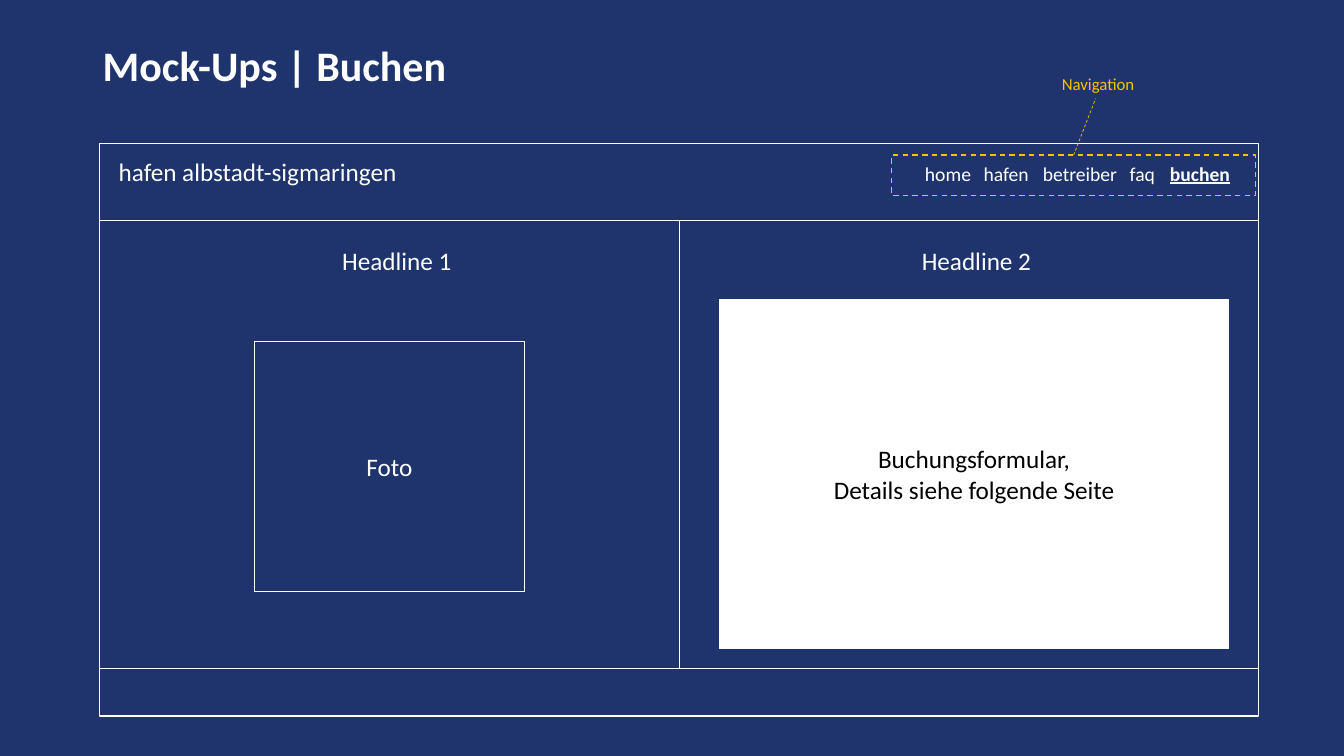
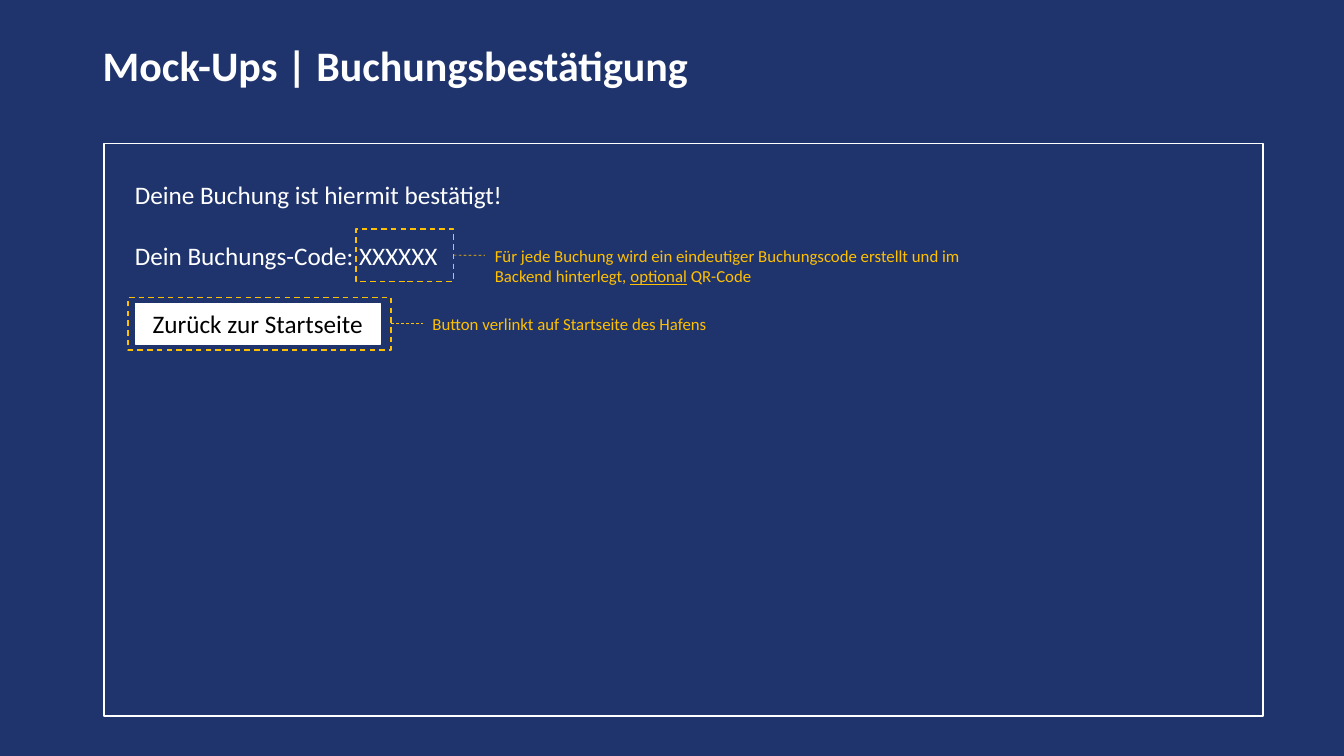
from dataclasses import dataclass
from typing import NamedTuple

from lxml import etree
from pptx import Presentation
from pptx.dml.color import RGBColor
from pptx.enum import dml, shapes, text
from pptx.oxml import ns
from pptx.util import Cm, Pt


@dataclass(frozen=True)
class Theme:
    font: str = "Calibri"
    navy: RGBColor = RGBColor(0x1F, 0x34, 0x6D)
    white: RGBColor = RGBColor(0xFF, 0xFF, 0xFF)
    black: RGBColor = RGBColor(0x00, 0x00, 0x00)
    amber: RGBColor = RGBColor(0xFF, 0xC0, 0x00)
    title: int = 30
    body: int = 18
    menu: int = 14
    note: int = 12


class Box(NamedTuple):
    """An area of the page in centimetres."""
    left: float
    top: float
    width: float
    height: float

    def inner(self, left, top, width, height):
        return Box(self.left + left, self.top + top, width, height)

    def lengths(self):
        return [Cm(value) for value in self]


THEME = Theme()
TITLE = Box(2.34, 1.02, 29.21, 3.68)
BOOKING_FRAME = Box(2.51, 3.61, 29.21, 14.43)
CONFIRMATION_FRAME = Box(2.62, 3.61, 29.21, 14.43)
CENTER = text.PP_ALIGN.CENTER


def write(frame, paragraphs, size=THEME.body, color=THEME.white, align=None, **spacing):
    """Fill a text frame; each paragraph is a list of (text, font values) spans."""
    frame.word_wrap = True
    for index, spans in enumerate(paragraphs):
        para = frame.paragraphs[0] if index == 0 else frame.add_paragraph()
        para.alignment = align
        for name, value in spacing.items():
            if index or name != "space_before":
                setattr(para, name, value)
        for content, extra in spans:
            span = para.add_run()
            span.text = content
            values = {"name": THEME.font, "size": Pt(size), **extra}
            for name, value in values.items():
                setattr(span.font, name, value)
            span.font.color.rgb = color


def add_text(page, box, paragraphs, **style):
    label = page.shapes.add_textbox(*box.lengths())
    write(label.text_frame, paragraphs, **style)
    return label


def add_rect(page, box, fill=None, line=THEME.white, weight=0.75, dashed=False):
    rect = page.shapes.add_shape(shapes.MSO_SHAPE.RECTANGLE, *box.lengths())
    rect.shadow.inherit = False
    if fill is None:
        rect.fill.background()
    else:
        rect.fill.solid()
        rect.fill.fore_color.rgb = fill
    style_line(rect.line, line, weight, dashed)
    return rect


def add_panel(page, box, lines, fill=None, color=THEME.white):
    """A rectangle with centred text."""
    panel = add_rect(page, box, fill)
    panel.text_frame.vertical_anchor = text.MSO_ANCHOR.MIDDLE
    write(panel.text_frame, [[(line, {})] for line in lines], color=color, align=CENTER)


def style_line(line, color, weight, dashed):
    line.color.rgb = color
    line.width = Pt(weight)
    if dashed:
        line.dash_style = dml.MSO_LINE.DASH


def add_line(page, start, end, color=THEME.white, dashed=False):
    points = [Cm(value) for value in (*start, *end)]
    line = page.shapes.add_connector(shapes.MSO_CONNECTOR.STRAIGHT, *points)
    etree.SubElement(line._element.spPr, ns.qn("a:effectLst"))
    style_line(line.line, color, 0.5, dashed)
    return line


def add_callout(page, target, side, tip, note_box, spans):
    """Mark the target area and lead from one of its sides to a note."""
    marker = add_rect(page, target, line=THEME.amber, weight=1, dashed=True)
    note = add_text(page, note_box, [spans], size=THEME.note, color=THEME.amber)
    leader = add_line(page, (target.left, target.top), tip, THEME.amber, dashed=True)
    leader.begin_connect(marker, side)
    return leader, note


def set_tab_stops(para, stops):
    properties = para._p.get_or_add_pPr()
    tabs = etree.SubElement(properties, ns.qn("a:tabLst"))
    for stop in stops:
        etree.SubElement(tabs, ns.qn("a:tab"), pos=str(int(Cm(stop))), algn="l")


def start_page(deck, title):
    page = deck.slides.add_slide(deck.slide_layouts[6])
    page.background.fill.solid()
    page.background.fill.fore_color.rgb = THEME.navy
    add_text(page, TITLE, [[(title, {"bold": True})]], size=THEME.title, line_spacing=0.9)
    return page


def add_site_header(page, box):
    menu = {"size": Pt(THEME.menu)}
    spans = [("hafen albstadt-sigmaringen", {})]
    spans += [("\t" + item, menu) for item in ("home", "hafen", "betreiber", "faq")]
    spans += [("\t", menu), ("buchen", {**menu, "bold": True, "underline": True})]
    header = add_text(page, box.inner(0.23, 0.2, 28.8, 1.02), [spans])
    set_tab_stops(header.text_frame.paragraphs[0], (20.32, 21.8, 23.29, 25.48, 26.49))
    add_callout(page, box.inner(19.96, 0.3, 9.17, 1.02), 0,
                (box.left + 25.1, box.top - 1.12),
                box.inner(24, -1.88, 3.4, 0.76), [("Navigation", {})])


def add_column_headline(page, column, headline):
    left = (column.width - 6.8) / 2 + 0.19
    add_text(page, column.inner(left, 0.5, 6.8, 1.02), [[(headline, {})]], align=CENTER)


def add_site_content(page, box):
    add_rect(page, box)
    half = box.width / 2
    middle = box.left + half
    add_line(page, (middle, box.top), (middle, box.top + box.height))
    columns = [box.inner(index * half, 0, half, box.height) for index in range(2)]
    for number, column in enumerate(columns, 1):
        add_column_headline(page, column, f"Headline {number}")
    photo, form = columns
    add_panel(page, photo.inner((half - 6.8) / 2, 3.05, 6.8, 6.3), ["Foto"])
    add_panel(page, form.inner(1.02, 1.98, 12.83, 8.81),
              ["Buchungsformular,", "Details siehe folgende Seite"],
              fill=THEME.white, color=THEME.black)


def build_booking(deck):
    page = start_page(deck, "Mock-Ups | Buchen")
    box = BOOKING_FRAME
    add_rect(page, box, THEME.navy, weight=1)
    add_site_header(page, box)
    add_site_content(page, box.inner(0, 1.95, box.width, 11.28))


def add_code_note(page, box):
    code = box.inner(6.35, 2.16, 2.46, 1.32)
    note = box.inner(9.6, 2.46, 13, 1.27)
    tip = (note.left, code.top + code.height / 2)
    add_callout(page, code, 3, tip, note, [
        ("Für jede Buchung wird ein eindeutiger Buchungscode erstellt "
         "und im Backend hinterlegt, ", {}),
        ("optional", {"underline": True}),
        (" QR-Code", {}),
    ])


def add_home_button(page, box):
    add_panel(page, box.inner(0.79, 4.04, 6.17, 1.02), ["Zurück zur Startseite"],
              fill=THEME.white, color=THEME.black)
    target = box.inner(0.61, 3.89, 6.63, 1.32)
    note_box = box.inner(8.03, 4.17, 13, 0.76)
    leader, note = add_callout(page, target, 3, (note_box.left, note_box.top), note_box,
                               [("Button verlinkt auf Startseite des Hafens", {})])
    leader.end_connect(note, 1)


def build_confirmation(deck):
    page = start_page(deck, "Mock-Ups | Buchungsbestätigung")
    box = CONFIRMATION_FRAME
    add_rect(page, box, THEME.navy, weight=1)
    lines = ("Deine Buchung ist hiermit bestätigt!", "Dein Buchungs-Code: XXXXXX")
    add_text(page, box.inner(0.53, 0.79, 22.05, 5.64), [[(line, {})] for line in lines],
             space_before=Pt(22))
    add_home_button(page, box)
    add_code_note(page, box)


def main():
    deck = Presentation()
    deck.slide_width, deck.slide_height = Cm(33.87), Cm(19.05)
    build_booking(deck)
    build_confirmation(deck)
    deck.save("out.pptx")


if __name__ == "__main__":
    main()
